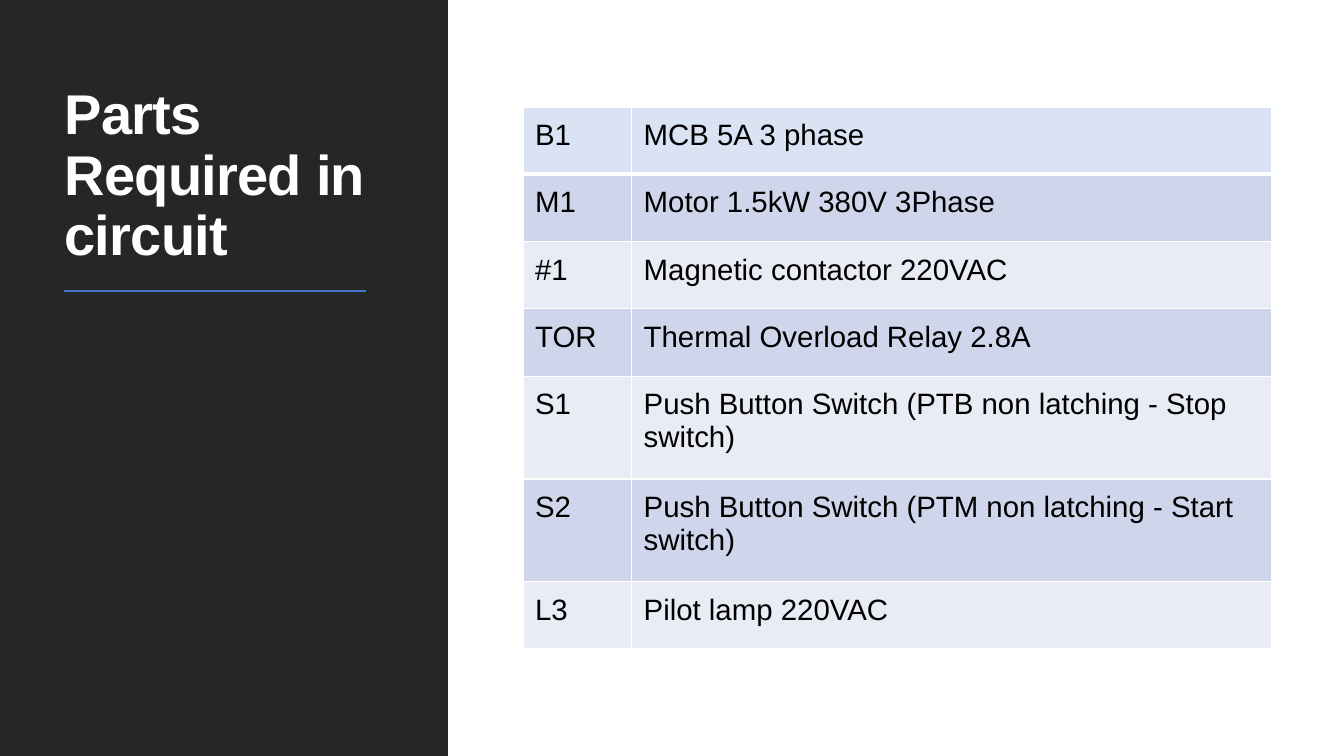
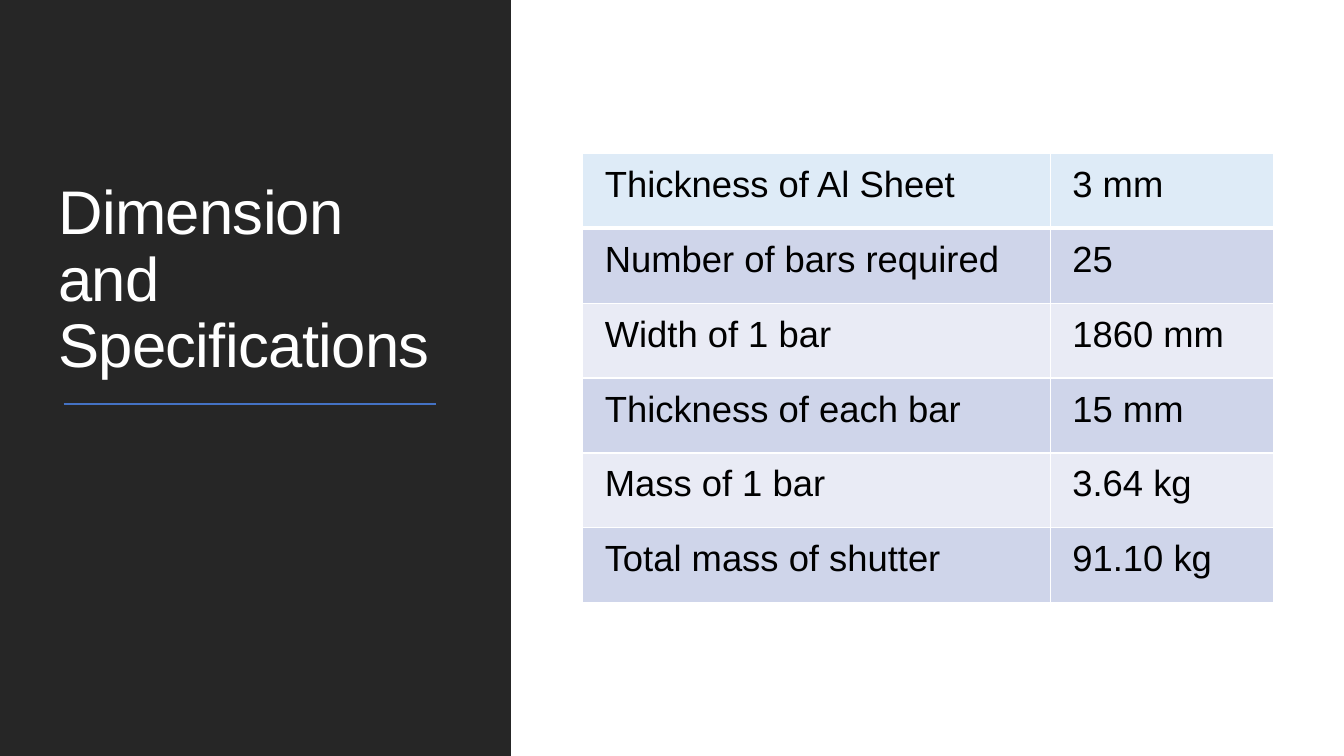
from dataclasses import dataclass

import lxml.etree
import pptx
import pptx.dml.color
import pptx.enum.shapes
import pptx.enum.text
import pptx.oxml.ns
import pptx.util

Pt = pptx.util.Pt
qn = pptx.oxml.ns.qn

FONT = "Arial"
WHITE = "FFFFFF"
BLACK = "000000"
PANEL = "262626"
ACCENT = "4472C4"
BANDS = ("E9EBF5", "CFD5EA")
PAGE_WIDTH, PAGE_HEIGHT = 960, 540
RULE_LEFT = 45.4


@dataclass(frozen=True)
class Title:
    text: str
    left: float
    top: float
    width: float
    height: float
    size: float
    bold: bool


@dataclass(frozen=True)
class Grid:
    rows: tuple[tuple[str, str], ...]
    left: float
    top: float
    columns: tuple[float, ...]
    heights: tuple[float, ...]
    inset_x: float
    inset_y: float
    size: float
    first_fill: str


@dataclass(frozen=True)
class Page:
    panel_width: float
    title: Title
    rule_right: float
    rule_top: float
    grid: Grid


PAGES = (
    Page(
        panel_width=320,
        title=Title("Parts Required in circuit", 39, 41, 243, 154, 40, True),
        rule_right=261.4,
        rule_top=208,
        grid=Grid(
            rows=(
                ("B1", "MCB 5A 3 phase"),
                ("M1", "Motor 1.5kW 380V 3Phase"),
                ("#1", "Magnetic contactor 220VAC"),
                ("TOR", "Thermal Overload Relay 2.8A"),
                ("S1", "Push Button Switch (PTB non latching - Stop switch)"),
                ("S2", "Push Button Switch (PTM non latching - Start switch)"),
                ("L3", "Pilot lamp 220VAC"),
            ),
            left=373.6, top=76.4, columns=(77.6, 457.2),
            heights=(48.1,) * 4 + (73.4,) * 2 + (48.1,),
            inset_x=8.6, inset_y=8.6, size=21, first_fill="DAE3F3",
        ),
    ),
    Page(
        panel_width=365,
        title=Title("Dimension and Specifications", 34.6, 50.4, 288, 225.4, 44, False),
        rule_right=311.8,
        rule_top=288.7,
        grid=Grid(
            rows=(
                ("Thickness of Al Sheet", "3 mm"),
                ("Number of bars required", "25"),
                ("Width of 1 bar", "1860 mm"),
                ("Thickness of each bar", "15 mm"),
                ("Mass of 1 bar", "3.64 kg"),
                ("Total mass of shutter", "91.10 kg"),
            ),
            left=416.2, top=109.6, columns=(334, 159.6), heights=(53.5,) * 6,
            inset_x=15.8, inset_y=7.9, size=26, first_fill="DEEBF7",
        ),
    ),
)


def rgb(colour: str) -> pptx.dml.color.RGBColor:
    return pptx.dml.color.RGBColor.from_string(colour)


def style_text(frame, size: float, colour: str, bold: bool = False, spacing: float = 0) -> None:
    """Format every run; spacing is the letter spacing in points."""
    for para in frame.paragraphs:
        for span in para.runs:
            span.font.name = FONT
            span.font.size = Pt(size)
            span.font.bold = bold
            span.font.color.rgb = rgb(colour)
            if spacing:
                span._r.get_or_add_rPr().set("spc", str(round(spacing * 100)))


def add_panel(slide, width: float) -> None:
    panel = slide.shapes.add_shape(
        pptx.enum.shapes.MSO_SHAPE.RECTANGLE, 0, 0, Pt(width), Pt(PAGE_HEIGHT))
    panel.shadow.inherit = False
    panel.fill.solid()
    panel.fill.fore_color.rgb = rgb(PANEL)
    panel.line.fill.background()


def add_title(slide, title: Title) -> None:
    box = slide.shapes.add_textbox(
        Pt(title.left), Pt(title.top), Pt(title.width), Pt(title.height))
    frame = box.text_frame
    frame.word_wrap = True
    frame.vertical_anchor = pptx.enum.text.MSO_ANCHOR.BOTTOM
    frame.text = title.text
    frame.paragraphs[0].line_spacing = 0.9
    style_text(frame, title.size, WHITE, title.bold, spacing=-0.5)


def add_rule(slide, right: float, top: float) -> None:
    rule = slide.shapes.add_connector(
        pptx.enum.shapes.MSO_CONNECTOR.STRAIGHT,
        Pt(RULE_LEFT), Pt(top), Pt(right), Pt(top))
    rule.line.color.rgb = rgb(ACCENT)
    rule.line.width = Pt(1.5)
    lxml.etree.SubElement(rule._element.spPr, qn("a:effectLst"))


def set_borders(cell, top: float, bottom: float) -> None:
    """Draw white borders, 1 pt at the sides; they must precede the fill."""
    properties = cell._tc.get_or_add_tcPr()
    widths = {"a:lnL": 1, "a:lnR": 1, "a:lnT": top, "a:lnB": bottom}
    for index, (tag, width) in enumerate(widths.items()):
        border = lxml.etree.Element(qn(tag), w=str(Pt(width)))
        fill = lxml.etree.SubElement(border, qn("a:solidFill"))
        lxml.etree.SubElement(fill, qn("a:srgbClr"), val=WHITE)
        properties.insert(index, border)


def add_grid(slide, grid: Grid) -> None:
    table = slide.shapes.add_table(
        len(grid.rows), len(grid.columns), Pt(grid.left), Pt(grid.top),
        Pt(sum(grid.columns)), Pt(sum(grid.heights))).table
    table.first_row = False
    table.horz_banding = False
    for column, width in zip(table.columns, grid.columns):
        column.width = Pt(width)
    for index, (texts, height) in enumerate(zip(grid.rows, grid.heights)):
        table.rows[index].height = Pt(height)
        colour = BANDS[index % 2] if index else grid.first_fill
        for cell, text in zip(table.rows[index].cells, texts):
            cell.margin_left = cell.margin_right = Pt(grid.inset_x)
            cell.margin_top = cell.margin_bottom = Pt(grid.inset_y)
            cell.fill.solid()
            cell.fill.fore_color.rgb = rgb(colour)
            set_borders(cell, top=3 if index == 1 else 1, bottom=3 if index == 0 else 1)
            cell.text_frame.text = text
            style_text(cell.text_frame, grid.size, BLACK)


def add_page(deck, page: Page) -> None:
    slide = deck.slides.add_slide(deck.slide_layouts[6])
    add_panel(slide, page.panel_width)
    add_title(slide, page.title)
    add_rule(slide, page.rule_right, page.rule_top)
    add_grid(slide, page.grid)


def main() -> None:
    deck = pptx.Presentation()
    deck.slide_width = Pt(PAGE_WIDTH)
    deck.slide_height = Pt(PAGE_HEIGHT)
    for page in PAGES:
        add_page(deck, page)
    deck.save("out.pptx")


if __name__ == "__main__":
    main()
